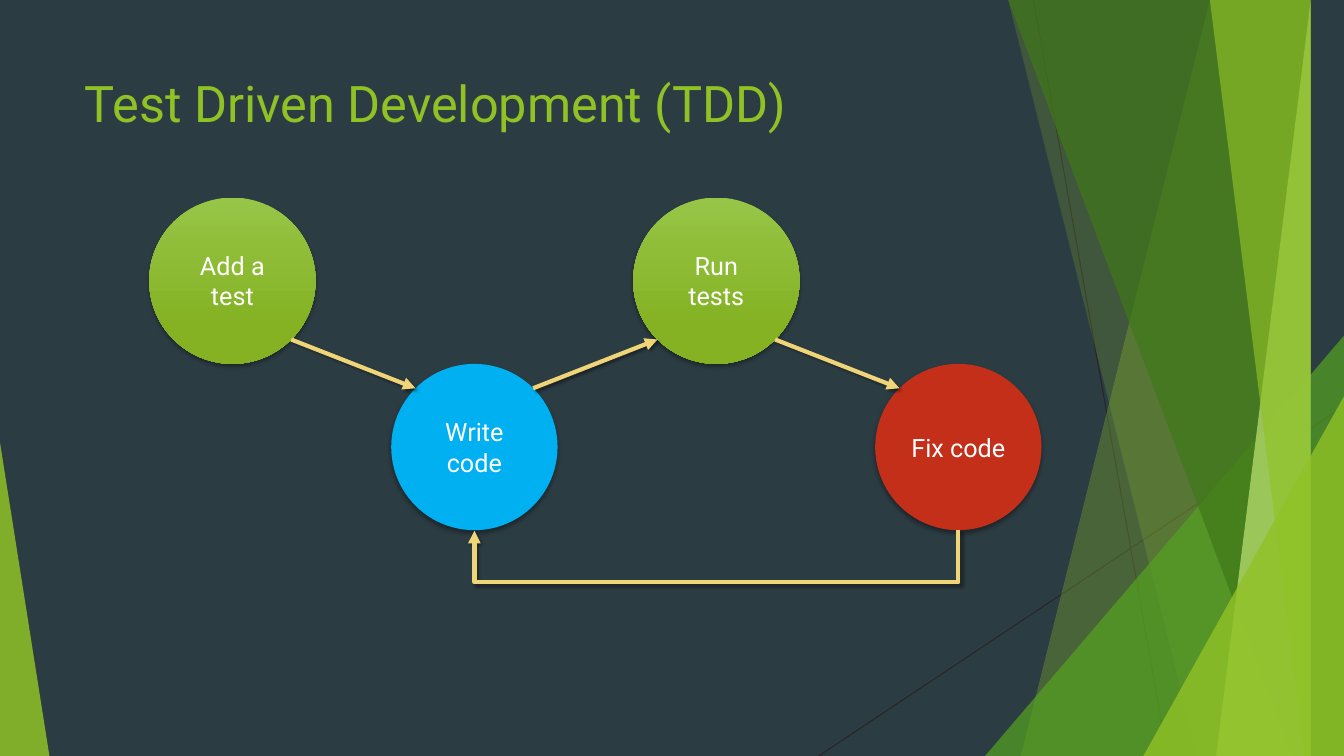
from lxml.etree import SubElement
from pptx import Presentation
from pptx.dml.color import RGBColor as RGB
from pptx.enum.shapes import MSO_CONNECTOR as LINK, MSO_SHAPE as SHAPE
from pptx.enum.text import MSO_ANCHOR as ANCHOR, PP_ALIGN as ALIGN
from pptx.oxml.ns import qn
from pptx.util import Inches, Pt

WIDE, HIGH = 13.33, 7.5
FONT = "Roboto"
SLATE = RGB(0x2C, 0x3C, 0x43)
INK = RGB(0x26, 0x26, 0x26)
LIME = RGB(0x90, 0xC2, 0x26)
GREEN = RGB(0x54, 0xA0, 0x21)
DARK = RGB(0x3F, 0x78, 0x19)
PALE = RGB(0xC0, 0xE4, 0x74)
LIGHT = RGB(0x97, 0xC5, 0x47)
DEEP = RGB(0x84, 0xB2, 0x23)
BLUE = RGB(0x00, 0xB0, 0xF0)
RED = RGB(0xC4, 0x2F, 0x1A)
GOLD = RGB(0xF0, 0xD5, 0x78)
WHITE = RGB(0xFF, 0xFF, 0xFF)


def style(font, size, color):
    for name, value in {"name": FONT, "size": Pt(size)}.items():
        setattr(font, name, value)
    font.color.rgb = color


def effects(shape, alpha=0, blur=0, dist=0, angle=0):
    """Replace the theme shadow; call after the line is set."""
    box = SubElement(shape._element.spPr, qn("a:effectLst"))
    if alpha:
        cast = SubElement(box, qn("a:outerShdw"), blurRad=str(Pt(blur)),
                          dist=str(Pt(dist)), dir=str(angle * 60000), rotWithShape="0")
        tone = SubElement(cast, qn("a:srgbClr"), val="000000")
        SubElement(tone, qn("a:alpha"), val=str(alpha * 1000))


def glaze(shape, color, share):
    """Fill with a see-through colour, without outline or shadow."""
    shape.fill.solid()
    shape.fill.fore_color.rgb = color
    tone = shape._element.spPr.find(qn("a:solidFill"))[0]
    SubElement(tone, qn("a:alpha"), val=str(share * 1000))
    shape.line.fill.background()
    effects(shape)


def link(shapes, start, end, color, width, kind=LINK.STRAIGHT):
    line = shapes.add_connector(kind, *map(Inches, (*start, *end)))
    line.line.color.rgb = color
    line.line.width = Pt(width)
    return line


def arrow(shapes, start, end, kind=LINK.STRAIGHT):
    line = link(shapes, start, end, GOLD, 3, kind)
    SubElement(line.line._get_or_add_ln(), qn("a:tailEnd"), type="triangle")
    effects(line, 40, 2, 2, 45)
    return line


def facet(shapes, top, foot, color, share):
    """A pane from a slanted left edge to the slide's right edge."""
    form = shapes.build_freeform(top, 0, scale=Inches(1))
    form.add_line_segments([(WIDE, 0), (WIDE, HIGH), (foot, HIGH)])
    glaze(form.convert_to_shape(), color, share)


def wedge(shapes, left, width, height, apex, color, share):
    """A triangle that stands on the slide's lower edge."""
    form = shapes.add_shape(SHAPE.ISOSCELES_TRIANGLE, *map(
        Inches, (left, HIGH - height, width, height)))
    form.adjustments[0] = apex
    glaze(form, color, share)


def backdrop(slide):
    slide.background.fill.solid()
    slide.background.fill.fore_color.rgb = SLATE
    shapes = slide.shapes
    for start, end in (((10.25, 0), (11.58, HIGH)), ((WIDE, 4.03), (8.12, HIGH))):
        effects(link(shapes, start, end, INK, 0.75))
    facet(shapes, 12.28, 10.04, LIME, 30)
    facet(shapes, 10.5, 11.83, LIME, 20)
    wedge(shapes, 9.77, 3.56, 4.17, 1, GREEN, 72)
    facet(shapes, 10.21, 12.91, DARK, 70)
    facet(shapes, 13.03, 11.92, PALE, 70)
    facet(shapes, 11.96, 13.18, LIME, 65)
    wedge(shapes, 11.34, 1.99, 3.57, 1, LIME, 80)
    wedge(shapes, 0, 0.49, 3.11, 0, LIME, 85)


def heading(slide, text, left, top, width, height):
    title = slide.shapes.title
    box = {"left": left, "top": top, "width": width, "height": height}
    for name, value in box.items():
        setattr(title, name, Inches(value))
    title.text = text
    title.text_frame.vertical_anchor = ANCHOR.TOP
    line = title.text_frame.paragraphs[0]
    line.alignment = ALIGN.LEFT
    style(line.runs[0].font, 36, LIME)


def step(shapes, text, color, left, top, size):
    disc = shapes.add_shape(SHAPE.OVAL, *map(Inches, (left, top, size, size)))
    if color:
        disc.fill.solid()
        disc.fill.fore_color.rgb = color
    else:
        disc.fill.gradient()
        disc.fill.gradient_angle = 270
        for stop, tone, place in zip(disc.fill.gradient_stops, (LIGHT, DEEP), (0, 0.78)):
            stop.color.rgb = tone
            stop.position = place
    disc.line.fill.background()
    effects(disc, 35, 3, 2, 90)
    frame = disc.text_frame
    frame.word_wrap = True
    frame.vertical_anchor = ANCHOR.MIDDLE
    frame.text = text
    line = frame.paragraphs[0]
    line.alignment = ALIGN.CENTER
    style(line.runs[0].font, 18, WHITE)


def cycle(shapes, left, top, size, pitch):
    """Four steps in a zigzag, with a way back from the last to the second."""
    steps = (("Add a test", None), ("Write code", BLUE),
             ("Run tests", None), ("Fix code", RED))
    half = size / 2
    mids = []
    for i, (text, color) in enumerate(steps):
        x, y = left + i * pitch, top + i % 2 * size
        step(shapes, text, color, x, y, size)
        mids.append((x + half, y + half))
    reach = half * 0.5 ** 0.5
    for (ax, ay), (bx, by) in zip(mids, mids[1:]):
        drop = reach if by > ay else -reach
        arrow(shapes, (ax + reach, ay + drop), (bx - reach, by - drop))

    # The way back is a thin upright elbow, turned a quarter to lie flat.
    thin, depth = 0.01, 0.53
    span = 2 * pitch
    mid, foot = mids[2][0], top + 2 * size
    back = arrow(shapes, (mid - thin / 2, foot - span / 2),
                 (mid + thin / 2, foot + span / 2), LINK.ELBOW)
    props = back._element.spPr
    props.find(qn("a:xfrm")).set("rot", str(90 * 60000))
    guides = props.find(qn("a:prstGeom")).find(qn("a:avLst"))
    SubElement(guides, qn("a:gd"), name="adj1", fmla=f"val {round(depth / thin * 100000)}")


def main():
    deck = Presentation()
    deck.slide_width, deck.slide_height = Inches(WIDE), Inches(HIGH)
    slide = deck.slides.add_slide(deck.slide_layouts[5])
    backdrop(slide)
    heading(slide, "Test Driven Development (TDD)", 0.74, 0.67, 9.4, 1.44)
    cycle(slide.shapes, 1.48, 1.96, 1.65, 2.4)
    deck.save("out.pptx")


if __name__ == "__main__":
    main()
